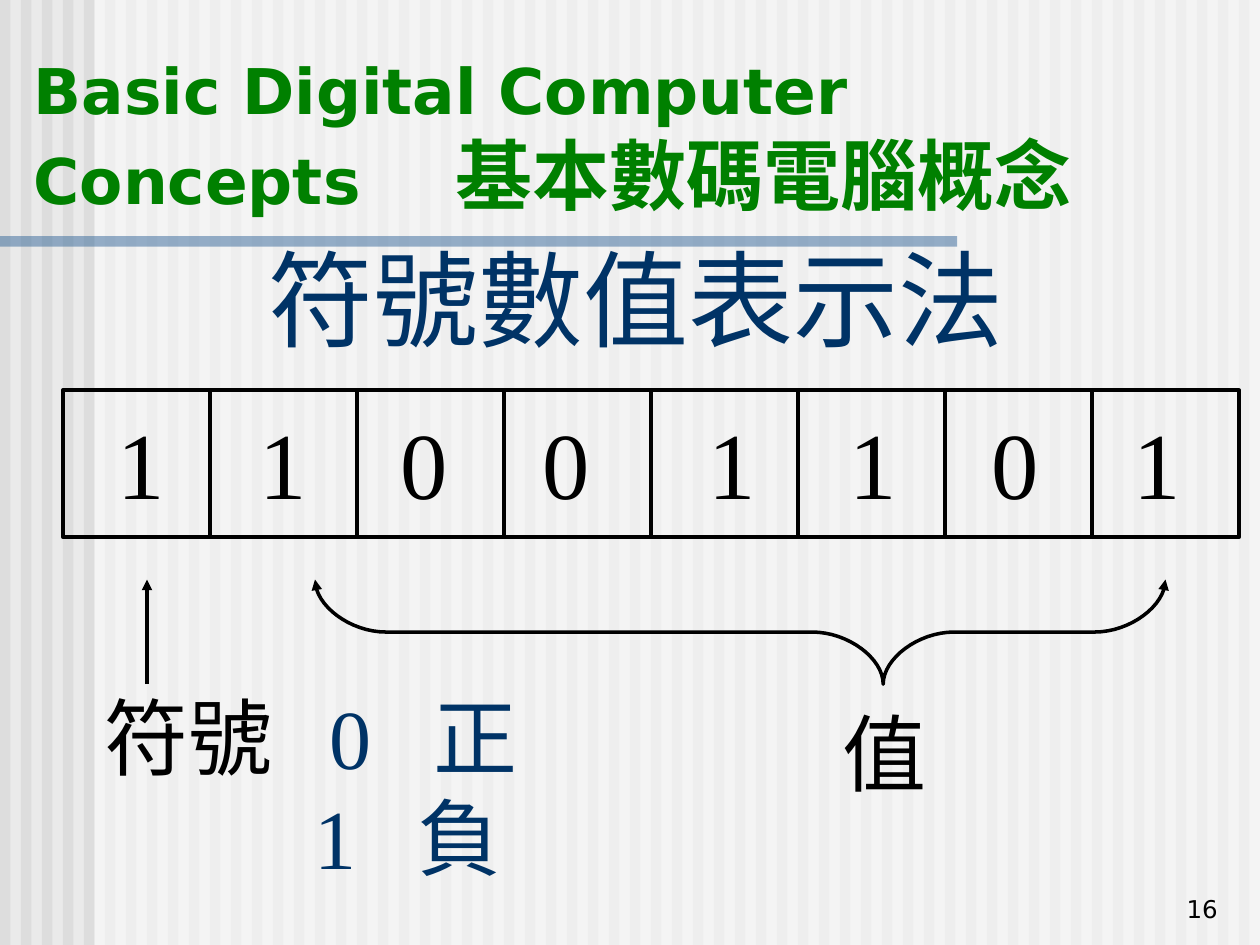
import pptx
import pptx.dml.color
import pptx.enum.shapes
import pptx.enum.text
import pptx.oxml.ns
import pptx.util
import lxml.etree

Pt = pptx.util.Pt
qn = pptx.oxml.ns.qn
ALIGN = pptx.enum.text.PP_ALIGN
ANCHOR = pptx.enum.text.MSO_ANCHOR
RECT = pptx.enum.shapes.MSO_SHAPE.RECTANGLE
STRAIGHT = pptx.enum.shapes.MSO_CONNECTOR.STRAIGHT

COLORS = {
    "ground": "EAEAEA",
    "stripe": "DDDDDD",
    "veil": "FFFFFF",
    "rule": "336699",
    "navy": "003366",
    "green": "008000",
    "ink": "000000",
}
SANS = "DejaVu Sans"
SERIF = "Times New Roman"


def color(name):
    return pptx.dml.color.RGBColor.from_string(COLORS[name])


def bend(start, corner, end, steps=16):
    points = []
    for i in range(1, steps + 1):
        t = i / steps
        a = (1 - t) ** 3 + 1.5 * t * (1 - t) ** 2
        c = t ** 3 + 1.5 * t ** 2 * (1 - t)
        b = 1 - a - c
        points.append(tuple(a * p + b * q + c * r
                            for p, q, r in zip(start, corner, end)))
    return points


class SlideBuilder:
    def __init__(self, prs):
        self.s = prs.slides.add_slide(prs.slide_layouts[5])
        fill = self.s.background.fill
        fill.solid()
        fill.fore_color.rgb = color("ground")

    def box(self, x, y, w, h, fill=None, alpha=None, line=None):
        sp = self.s.shapes.add_shape(RECT, Pt(x), Pt(y), Pt(w), Pt(h))
        sp.shadow.inherit = False
        if fill:
            sp.fill.solid()
            sp.fill.fore_color.rgb = color(fill)
        else:
            sp.fill.background()
        if alpha:
            clr = sp._element.spPr.find(qn("a:solidFill"))[0]
            lxml.etree.SubElement(clr, qn("a:alpha"), val=str(alpha * 1000))
        if line:
            self.stroke(sp, line)
        else:
            sp.line.fill.background()

    def stroke(self, sp, width, ends=()):
        sp.line.color.rgb = color("ink")
        sp.line.width = Pt(width)
        ln = sp._element.spPr.find(qn("a:ln"))
        for end in ends:
            lxml.etree.SubElement(ln, qn("a:" + end), type="triangle")

    def arrow(self, x1, y1, x2, y2):
        sp = self.s.shapes.add_connector(STRAIGHT, Pt(x1), Pt(y1), Pt(x2), Pt(y2))
        self.stroke(sp, 2, ["tailEnd"])
        lxml.etree.SubElement(sp._element.spPr, qn("a:effectLst"))

    def brace(self, left, right, tip, radius, top, middle, bottom):
        start = (left, top)
        points = bend(start, (left, middle), (left + radius, middle))
        points.append((tip - radius, middle))
        points += bend(points[-1], (tip, middle), (tip, bottom))
        points += bend(points[-1], (tip, middle), (tip + radius, middle))
        points.append((right - radius, middle))
        points += bend(points[-1], (right, middle), (right, top))
        fb = self.s.shapes.build_freeform(Pt(start[0]), Pt(start[1]))
        fb.add_line_segments([(Pt(x), Pt(y)) for x, y in points], close=False)
        sp = fb.convert_to_shape()
        sp.shadow.inherit = False
        sp.fill.background()
        self.stroke(sp, 2, ["headEnd", "tailEnd"])

    def title(self, x, y, w, h, runs):
        sp = self.s.shapes.title
        self.s.shapes._spTree.append(sp._element)
        sp.left, sp.top, sp.width, sp.height = Pt(x), Pt(y), Pt(w), Pt(h)
        self.set_text(sp.text_frame, [((), runs)], SANS, ALIGN.CENTER, ANCHOR.BOTTOM)

    def text(self, x, y, w, h, paragraphs, font=SERIF, align=ALIGN.LEFT,
             anchor=ANCHOR.TOP, right_inset=7.2):
        sp = self.s.shapes.add_textbox(Pt(x), Pt(y), Pt(w), Pt(h))
        sp.text_frame.margin_right = Pt(right_inset)
        self.set_text(sp.text_frame, paragraphs, font, align, anchor)

    def set_text(self, tf, paragraphs, font, align, anchor):
        tf.word_wrap = True
        tf.auto_size = pptx.enum.text.MSO_AUTO_SIZE.NONE
        tf.vertical_anchor = anchor
        for i, (tabs, runs) in enumerate(paragraphs):
            p = tf.add_paragraph() if i else tf.paragraphs[0]
            p.alignment = align
            if tabs:
                tab_list = lxml.etree.SubElement(p._p.get_or_add_pPr(), qn("a:tabLst"))
                for pos in tabs:
                    lxml.etree.SubElement(tab_list, qn("a:tab"), pos=str(Pt(pos)), algn="l")
            for text, size, ink, bold in runs:
                r = p.add_run()
                r.text = text
                r.font.name = font
                r.font.size = Pt(size)
                r.font.bold = bold
                r.font.color.rgb = color(ink)


def main():
    prs = pptx.Presentation()
    prs.slide_width, prs.slide_height = Pt(720), Pt(540)
    slide = SlideBuilder(prs)

    for i in range(60):
        slide.box(12 * i, 0, 6, 540, fill="stripe")
    slide.box(54, 0, 666, 540, fill="veil", alpha=50)
    slide.box(0, 135, 547, 6, fill="rule", alpha=50)

    slide.title(42, 130.3, 643, 79.2, [("符號數值表示法", 60, "navy", False)])

    bits = "11001101"
    for i in range(len(bits)):
        slide.box(36 + 84 * i, 223, 84, 84, line=2.25)
    bit_tabs = [81 * i + 13.5 * (i >= 4) for i in range(1, len(bits))]
    slide.text(60, 228, 660, 72, [(bit_tabs, [("\t".join(bits), 54, "ink", False)])])

    slide.brace(180, 666, 504.7, 40.5, 331.2, 361.2, 391)
    slide.arrow(84, 391, 84, 331.2)

    slide.text(52.5, 388, 283, 122, [
        ((129, 188), [("符號", 48, "ink", False), ("\t0\t正", 48, "navy", False)]),
        ((120, 179), [("\t1\t負", 48, "navy", False)]),
    ])
    slide.text(474.5, 397.5, 64, 65, [((), [("值", 48, "ink", False)])])
    slide.text(12.2, 26, 678, 113, [((241,), [
        ("Basic Digital Computer Concepts", 36, "green", True),
        ("\t", 28, "green", True),
        ("基本數碼電腦概念", 44, "green", True),
    ])], font=SANS, right_inset=35)
    slide.text(553, 495.4, 150, 36, [((), [("16", 14, "ink", False)])],
               font=SANS, align=ALIGN.RIGHT, anchor=ANCHOR.BOTTOM)

    prs.save("out.pptx")


if __name__ == "__main__":
    main()
